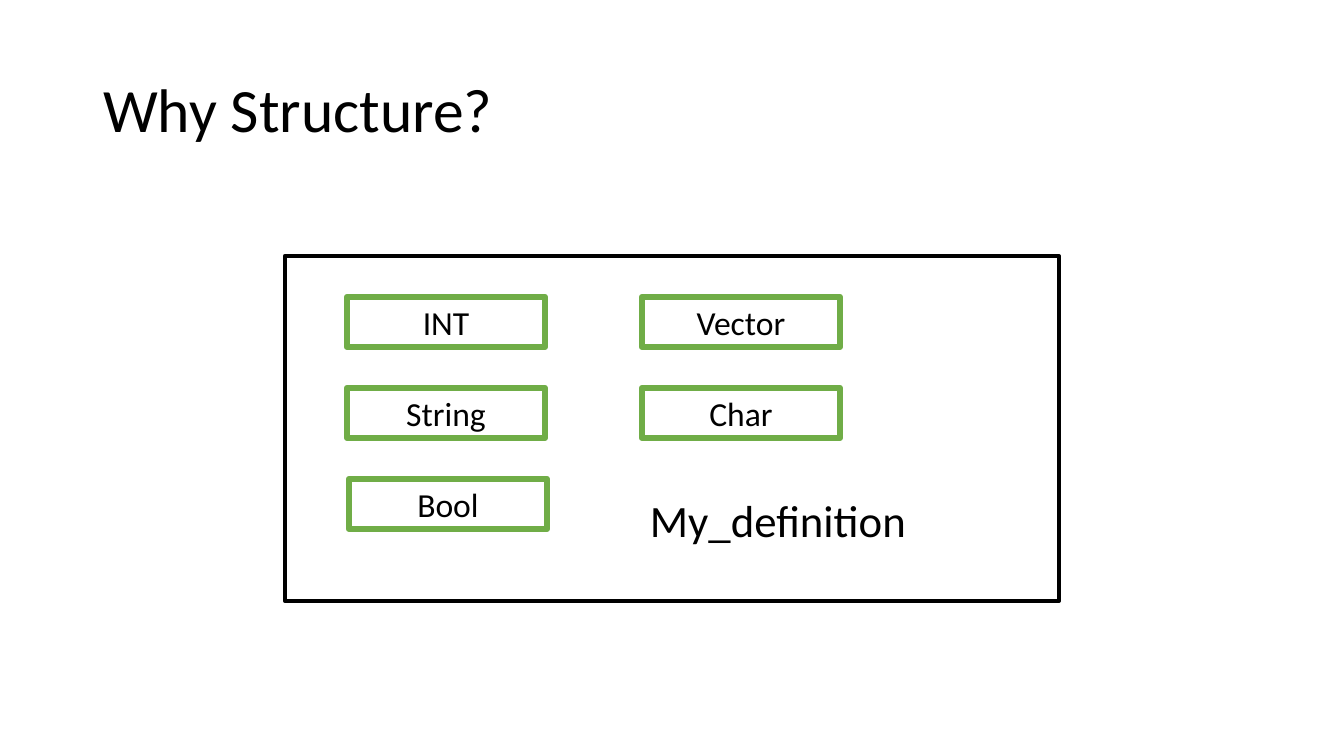
from pptx import Presentation
from pptx import util as u
from pptx.dml.color import RGBColor
from pptx.enum import shapes, text

# Content
HEADING = "Why Structure?"
STRUCT_NAME = "My_definition"
MEMBERS = [  # one list per column: (type name, shift to the right in px)
    [("INT", 0), ("String", 0), ("Bool", 2)],
    [("Vector", 0), ("Char", 0)],
]

# Layout in px
SLIDE = (1344, 756)
HEADING_AT = (93, 40, 1159, 146)
STRUCT_AT = (285, 256, 774, 345)
STRUCT_NAME_AT = (640, 488, 326, 64)
MEMBER_LEFT, MEMBER_TOP = 347, 297
MEMBER_SIZE = (198, 50)
COLUMN_STEP, ROW_STEP = 295, 91

BLACK, WHITE, GREEN = "000000", "FFFFFF", "70AD47"
FIT = text.MSO_AUTO_SIZE.SHAPE_TO_FIT_TEXT
ALIGN = text.PP_ALIGN


def px(*lengths):
    return [u.Emu(round(n * 914400 / 100.8)) for n in lengths]


def color(code):
    return RGBColor.from_string(code)


def write(frame, words, size, align, **frame_format):
    for key, value in frame_format.items():
        setattr(frame, key, value)
    frame.text = words
    line = frame.paragraphs[0]
    line.alignment = align
    for key, value in {"name": "Calibri", "size": u.Pt(size)}.items():
        setattr(line.font, key, value)
    line.font.color.rgb = color(BLACK)
    return line


def box(slide, at, outline, width):
    rect = slide.shapes.add_shape(shapes.MSO_SHAPE.RECTANGLE, *px(*at))
    rect.shadow.inherit = False
    rect.fill.solid()
    rect.fill.fore_color.rgb = color(WHITE)
    rect.line.color.rgb = color(outline)
    rect.line.width = u.Pt(width)
    return rect


def main():
    deck = Presentation()
    deck.slide_width, deck.slide_height = px(*SLIDE)
    slide = deck.slides.add_slide(deck.slide_layouts[5])

    # Heading
    heading = slide.shapes.title
    heading.left, heading.top, heading.width, heading.height = px(*HEADING_AT)
    write(heading.text_frame, HEADING, 44, ALIGN.LEFT,
          vertical_anchor=text.MSO_ANCHOR.MIDDLE).line_spacing = 0.9

    # Structure and its name
    box(slide, STRUCT_AT, BLACK, 3)
    struct_name = slide.shapes.add_textbox(*px(*STRUCT_NAME_AT))
    write(struct_name.text_frame, STRUCT_NAME, 32, ALIGN.LEFT,
          word_wrap=True, auto_size=FIT)

    # Members in columns
    for column, members in enumerate(MEMBERS):
        for row, (member_type, shift) in enumerate(members):
            left = MEMBER_LEFT + column * COLUMN_STEP + shift
            top = MEMBER_TOP + row * ROW_STEP
            member = box(slide, (left, top, *MEMBER_SIZE), GREEN, 4.5)
            write(member.text_frame, member_type, 24, ALIGN.CENTER,
                  word_wrap=True, auto_size=FIT)

    deck.save("out.pptx")


if __name__ == "__main__":
    main()
